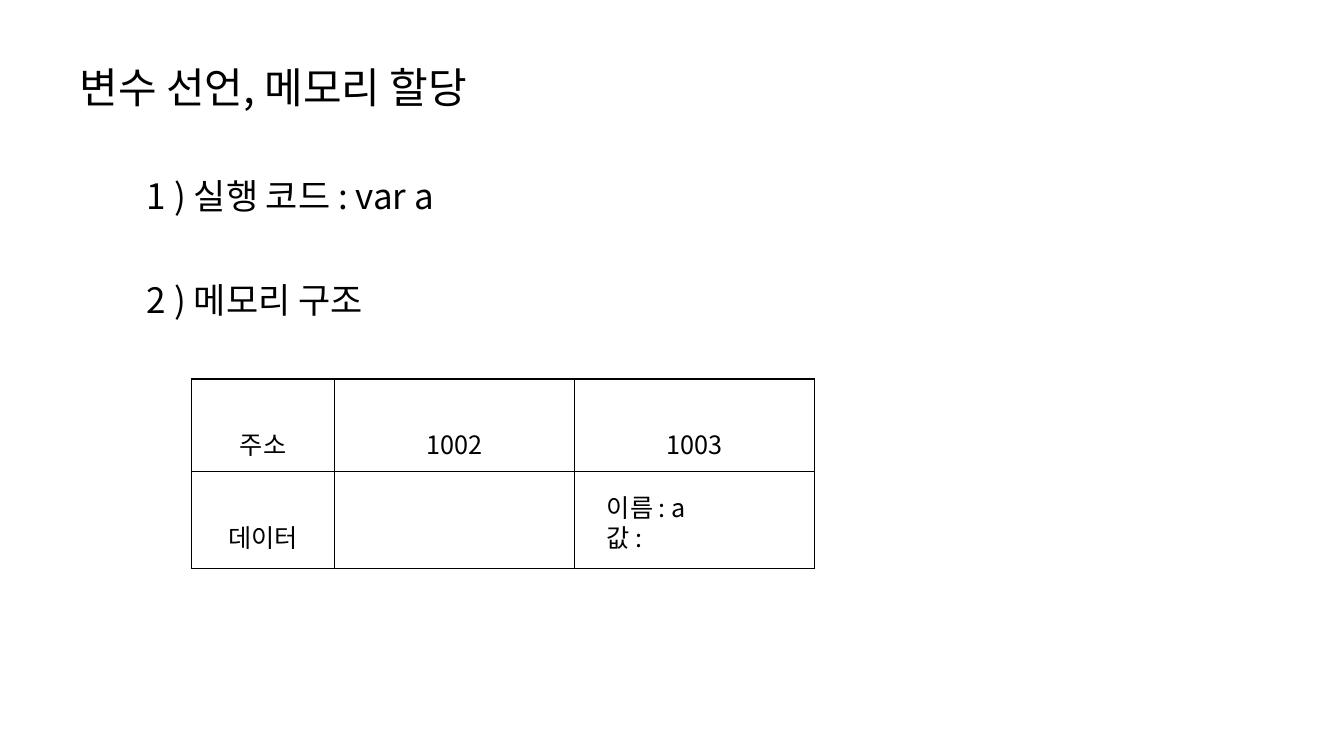
from lxml import etree
from pptx import Presentation
from pptx.dml.color import RGBColor
from pptx.enum.text import MSO_AUTO_SIZE, PP_ALIGN
from pptx.oxml.ns import qn
from pptx.util import Inches, Pt

FONT = "Noto Sans CJK KR"
COLORS = {"ink": "000000", "paper": "FFFFFF"}
COLUMN_WIDTHS = [1.42, 2.38, 2.38]
ROW_HEIGHTS = [0.92, 0.96]
MEMORY_ROWS = [["주소", "1002", "1003"], ["데이터", "", ""]]


def format_paragraph(p, size):
    p.font.size = Pt(size)
    for r in p.runs:
        r.font.size = Pt(size)
        r.font.name = FONT
        r.font.color.rgb = RGBColor.from_string(COLORS["ink"])
        etree.SubElement(r._r.get_or_add_rPr(), qn("a:ea"), typeface=FONT)


def add_text(slide, left, top, width, height, lines, size):
    box = slide.shapes.add_textbox(Inches(left), Inches(top), Inches(width), Inches(height))
    tf = box.text_frame
    tf.word_wrap = True
    tf.auto_size = MSO_AUTO_SIZE.SHAPE_TO_FIT_TEXT
    for i, line in enumerate(lines):
        p = tf.paragraphs[0] if i == 0 else tf.add_paragraph()
        p.text = line
        format_paragraph(p, size)


def set_borders(cell):
    tcPr = cell._tc.get_or_add_tcPr()
    for i, side in enumerate(("a:lnL", "a:lnR", "a:lnT", "a:lnB")):
        ln = etree.Element(qn(side), w=str(Pt(1)))
        fill = etree.SubElement(ln, qn("a:solidFill"))
        etree.SubElement(fill, qn("a:srgbClr"), val=COLORS["ink"])
        tcPr.insert(i, ln)  # borders come before the cell fill


def add_memory_table(slide, left, top):
    table = slide.shapes.add_table(
        len(ROW_HEIGHTS), len(COLUMN_WIDTHS), Inches(left), Inches(top),
        Inches(sum(COLUMN_WIDTHS)), Inches(sum(ROW_HEIGHTS))).table
    table.first_row = table.horz_banding = False
    for column, width in zip(table.columns, COLUMN_WIDTHS):
        column.width = Inches(width)
    for row, height, texts in zip(table.rows, ROW_HEIGHTS, MEMORY_ROWS):
        row.height = Inches(height)
        for cell, text in zip(row.cells, texts):
            cell.fill.solid()
            cell.fill.fore_color.rgb = RGBColor.from_string(COLORS["paper"])
            set_borders(cell)
            cell.margin_top = Inches(0.46)
            p = cell.text_frame.paragraphs[0]
            p.text = text
            p.alignment = PP_ALIGN.CENTER
            format_paragraph(p, 18)


def main():
    prs = Presentation()
    prs.slide_width, prs.slide_height = Inches(13.33), Inches(7.5)
    slide = prs.slides.add_slide(prs.slide_layouts[6])

    # Title and steps
    add_text(slide, 0.69, 0.56, 5.74, 0.61, ["변수 선언, 메모리 할당"], 30)
    for i, step in enumerate(["1 ) 실행 코드 : var a", "2 ) 메모리 구조"]):
        add_text(slide, 1.36, 1.68 + 1.03 * i, 9.56, 0.52, [step], 25)

    # Memory layout with the variable's entry
    add_memory_table(slide, 1.9, 3.76)
    add_text(slide, 5.92, 4.83, 1.89, 0.71, ["이름 : a", "값 :"], 18)

    prs.save("out.pptx")


if __name__ == "__main__":
    main()
